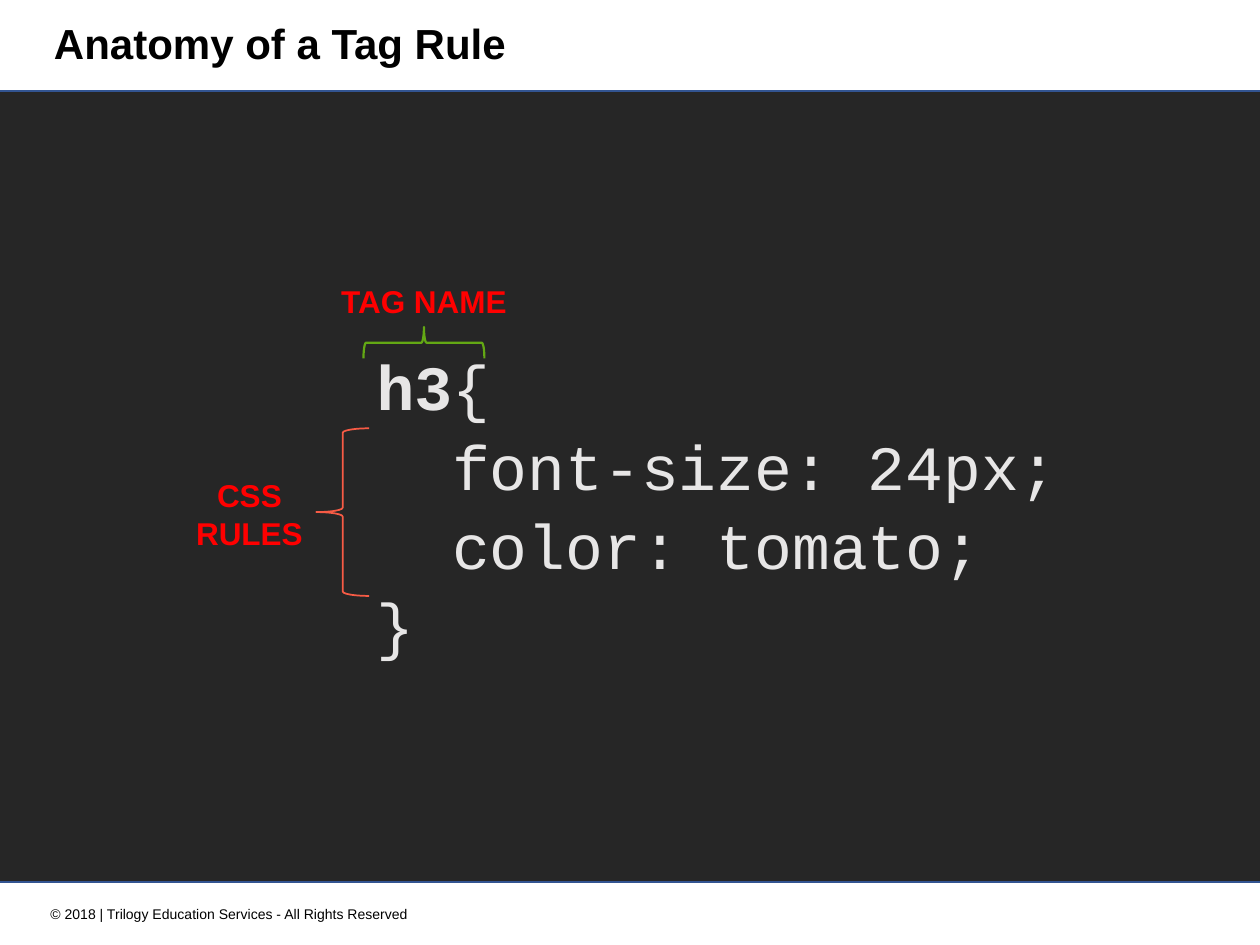
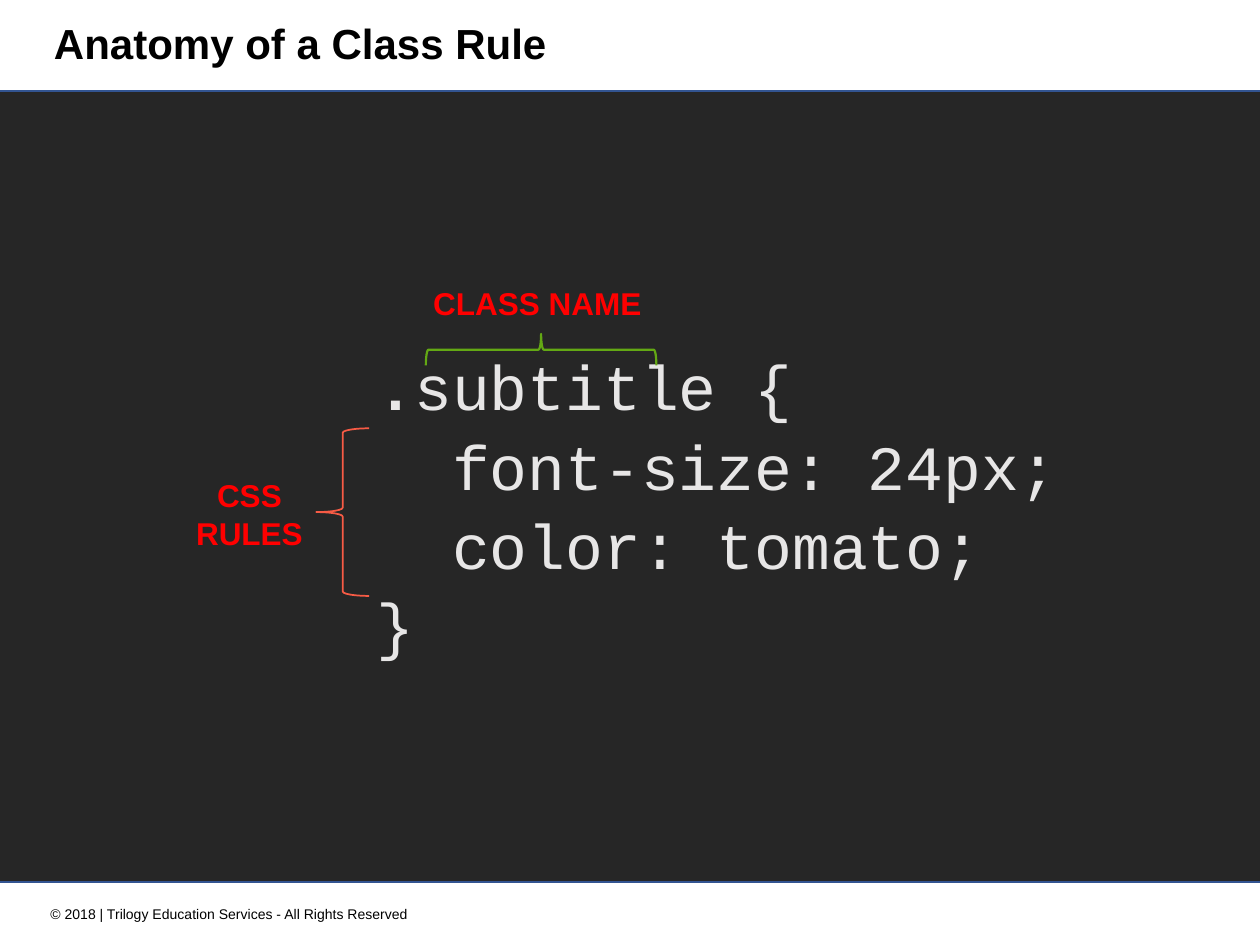
from dataclasses import dataclass

from pptx import Presentation
from pptx.dml.color import RGBColor
from pptx.enum.shapes import MSO_SHAPE
from pptx.enum.text import MSO_ANCHOR, PP_ALIGN
from pptx.util import Inches, Pt

RECTANGLE = MSO_SHAPE.RECTANGLE
LEFT_BRACE = MSO_SHAPE.LEFT_BRACE
RIGHT_BRACE = MSO_SHAPE.RIGHT_BRACE
LEFT, CENTER, RIGHT = PP_ALIGN.LEFT, PP_ALIGN.CENTER, PP_ALIGN.RIGHT
TOP, MIDDLE, BOTTOM = MSO_ANCHOR.TOP, MSO_ANCHOR.MIDDLE, MSO_ANCHOR.BOTTOM

COLORS = {
    "text": "000000",
    "panel": "262626",
    "panel_edge": "325491",
    "code": "E7E6E6",
    "label": "FF0000",
    "name_brace": "63A814",
    "rules_brace": "F75B45",
}
SANS = "Arial"
MONO = "Courier New"

SLIDE_WIDTH = Inches(10)
SLIDE_HEIGHT = Inches(7.5)
COLUMN = SLIDE_WIDTH // 100
ROW = SLIDE_HEIGHT // 75

FOOTER = "© 2018 | Trilogy Education Services - All Rights Reserved"
RULE_BODY = ["  font-size: 24px;", "  color: tomato;", "}"]


@dataclass(frozen=True)
class Box:
    column: float
    row: float
    columns: float
    rows: float

    def place(self) -> tuple[int, int, int, int]:
        return (
            round(self.column * COLUMN),
            round(self.row * ROW),
            round(self.columns * COLUMN),
            round(self.rows * ROW),
        )

    def turned(self) -> "Box":
        shift = (self.columns - self.rows) / 2
        return Box(self.column + shift, self.row - shift, self.rows, self.columns)


@dataclass(frozen=True)
class RuleSlide:
    title: str
    selector_bold: str
    selector_rest: str
    name_label: str
    label_box: Box
    brace_box: Box


PANEL_BOX = Box(-1.7, 7.2, 102.5, 62.8)
TITLE_BOX = Box(3.3, 0, 59.8, 7.2)
FOOTER_BOX = Box(1.7, 71.4, 31.7, 2.4)
CODE_BOX = Box(28.9, 27.8, 56.6, 25.2)
RULES_BRACE_BOX = Box(25.1, 34, 4.2, 13.3)
RULES_LABEL_BOX = Box(14.5, 37.2, 10.6, 7.1)

RULE_SLIDES = [
    RuleSlide("Anatomy of a Tag Rule", "h3", "{", "TAG NAME",
              Box(26.1, 21.9, 15.3, 4), Box(28.85, 25.95, 9.6, 2.5)),
    RuleSlide("Anatomy of a Class Rule", ".", "subtitle {", "CLASS NAME",
              Box(33.4, 22, 18.7, 4), Box(33.8, 26.5, 18.3, 2.5)),
]


def add_text(slide, box: Box, lines: list[str], *, size: float, color: str,
             font: str = SANS, bold: bool = False, bold_start: str = "",
             align=LEFT, anchor=TOP, spacing: float = 1.0, wrap: bool = True) -> None:
    frame = slide.shapes.add_textbox(*box.place()).text_frame
    frame.word_wrap = wrap
    frame.vertical_anchor = anchor
    for index, line in enumerate(lines):
        paragraph = frame.paragraphs[0] if index == 0 else frame.add_paragraph()
        paragraph.alignment = align
        paragraph.line_spacing = spacing
        pieces = [(line, bold)]
        if index == 0 and bold_start:
            pieces.insert(0, (bold_start, True))
        for text, is_bold in pieces:
            run = paragraph.add_run()
            run.text = text
            run.font.name = font
            run.font.size = Pt(size)
            run.font.bold = is_bold
            run.font.color.rgb = RGBColor.from_string(COLORS[color])


def add_outline(slide, kind, box: Box, *, line: str, width: float,
                fill: str = "", rotation: float = 0) -> None:
    shape = slide.shapes.add_shape(kind, *box.place())
    shape.rotation = rotation
    shape.shadow.inherit = False
    shape.line.color.rgb = RGBColor.from_string(COLORS[line])
    shape.line.width = Pt(width)
    if fill:
        shape.fill.solid()
        shape.fill.fore_color.rgb = RGBColor.from_string(COLORS[fill])
    else:
        shape.fill.background()


def add_label(slide, box: Box, lines: list[str], align=LEFT) -> None:
    add_text(slide, box, lines, size=18, color="label", bold=True,
             align=align, anchor=BOTTOM, wrap=False)


def add_frame(slide, title: str) -> None:
    add_text(slide, FOOTER_BOX, [FOOTER], size=8, color="text", align=RIGHT)
    add_outline(slide, RECTANGLE, PANEL_BOX, line="panel_edge", width=1, fill="panel")
    add_text(slide, TITLE_BOX, [title], size=24, color="text", bold=True,
             anchor=MIDDLE, spacing=0.9)


def add_rule_slide(presentation, rule: RuleSlide) -> None:
    slide = presentation.slides.add_slide(presentation.slide_layouts[6])
    add_frame(slide, rule.title)
    add_text(slide, CODE_BOX, [rule.selector_rest, *RULE_BODY], size=36,
             color="code", font=MONO, bold_start=rule.selector_bold,
             anchor=BOTTOM, spacing=1.05, wrap=False)
    add_label(slide, rule.label_box, [rule.name_label])
    add_outline(slide, RIGHT_BRACE, rule.brace_box.turned(), line="name_brace",
                width=1.25, rotation=270)
    add_outline(slide, LEFT_BRACE, RULES_BRACE_BOX, line="rules_brace", width=1)
    add_label(slide, RULES_LABEL_BOX, ["CSS", "RULES"], align=CENTER)


def main() -> None:
    presentation = Presentation()
    presentation.slide_width = SLIDE_WIDTH
    presentation.slide_height = SLIDE_HEIGHT
    for rule in RULE_SLIDES:
        add_rule_slide(presentation, rule)
    presentation.save("out.pptx")


if __name__ == "__main__":
    main()
